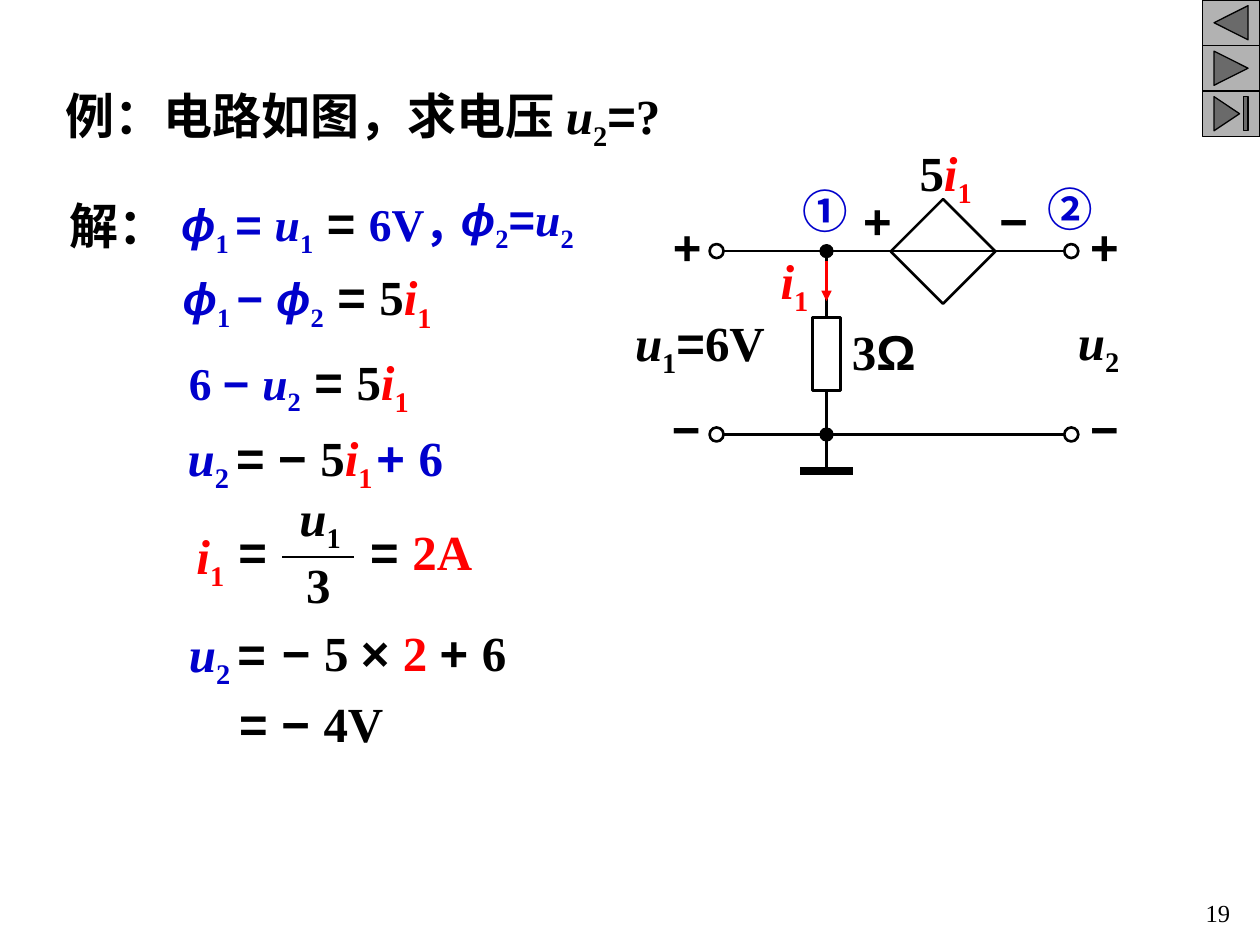
from typing import NamedTuple

from lxml import etree
from pptx import Presentation
from pptx.dml.color import RGBColor
from pptx.enum.shapes import MSO_CONNECTOR, MSO_SHAPE
from pptx.enum.text import MSO_ANCHOR, MSO_AUTO_SIZE, PP_ALIGN
from pptx.oxml.ns import qn
from pptx.util import Pt

STRAIGHT = MSO_CONNECTOR.STRAIGHT
ELLIPSE, DIAMOND, RECTANGLE = MSO_SHAPE.OVAL, MSO_SHAPE.DIAMOND, MSO_SHAPE.RECTANGLE
BACK = MSO_SHAPE.ACTION_BUTTON_BACK_OR_PREVIOUS
FORWARD = MSO_SHAPE.ACTION_BUTTON_FORWARD_OR_NEXT
END = MSO_SHAPE.ACTION_BUTTON_END
LEFT, CENTER, RIGHT = PP_ALIGN.LEFT, PP_ALIGN.CENTER, PP_ALIGN.RIGHT
MIDDLE, TOP = MSO_ANCHOR.MIDDLE, MSO_ANCHOR.TOP
NO_AUTOFIT = MSO_AUTO_SIZE.NONE

BLACK = RGBColor(0x00, 0x00, 0x00)
WHITE = RGBColor(0xFF, 0xFF, 0xFF)
RED = RGBColor(0xFF, 0x00, 0x00)
BLUE = RGBColor(0x00, 0x00, 0xCC)
GRAY = RGBColor(0xB2, 0xB2, 0xB2)

SERIF, SANS, CJK = "Times New Roman", "Arial", "Noto Sans CJK SC"


class Piece(NamedTuple):
    text: str
    color: RGBColor = BLACK
    size: float = 28
    font: str = SERIF
    italic: bool = False
    subscript: bool = False
    bold: bool = True


class Label(NamedTuple):
    left: float
    top: float
    width: float
    height: float
    pieces: list[Piece]
    align: PP_ALIGN = LEFT
    padded: bool = True


class Wire(NamedTuple):
    x1: float
    y1: float
    x2: float
    y2: float
    weight: float = 1.5
    color: RGBColor = BLACK
    arrow: bool = False


def serif(text: str, color: RGBColor = BLACK, size: float = 28) -> list[Piece]:
    return [Piece(text, color, size)]


def sans(text: str, color: RGBColor = BLACK, size: float = 28) -> list[Piece]:
    return [Piece(text, color, size, SANS)]


def symbol(letter: str, index: str, color: RGBColor = BLACK, size: float = 28,
           font: str = SERIF) -> list[Piece]:
    """An italic letter followed by an upright subscript."""
    return [Piece(letter, color, size, font, italic=True),
            Piece(index, color, size, subscript=True)]


def phi(index: str) -> list[Piece]:
    return symbol("ϕ", index, BLUE, 26, SANS)


def fill_text(text_frame, pieces: list[Piece], align: PP_ALIGN) -> None:
    paragraph = text_frame.paragraphs[0]
    paragraph.alignment = align
    for piece in pieces:
        run = paragraph.add_run()
        run.text = piece.text
        font = run.font
        font.name, font.size = piece.font, Pt(piece.size)
        font.bold, font.italic = piece.bold, piece.italic
        font.color.rgb = piece.color
        properties = run._r.get_or_add_rPr()
        etree.SubElement(properties, qn("a:ea"), typeface=CJK)
        if piece.subscript:
            properties.set("baseline", "-25000")


def add_label(slide, label: Label) -> None:
    box = slide.shapes.add_textbox(*map(Pt, label[:4]))
    text_frame = box.text_frame
    text_frame.word_wrap = label.align != CENTER
    text_frame.vertical_anchor = TOP
    if not label.padded:
        text_frame.margin_left = text_frame.margin_right = 0
        text_frame.margin_top = text_frame.margin_bottom = 0
    fill_text(text_frame, label.pieces, label.align)


def add_wire(slide, wire: Wire) -> None:
    connector = slide.shapes.add_connector(STRAIGHT, *map(Pt, wire[:4]))
    connector.line.color.rgb = wire.color
    connector.line.width = Pt(wire.weight)
    if wire.arrow:
        etree.SubElement(connector.line._get_or_add_ln(), qn("a:tailEnd"), type="triangle")
    etree.SubElement(connector._element.spPr, qn("a:effectLst"))


def add_outline(slide, kind: MSO_SHAPE, left: float, top: float, width: float, height: float,
                fill: RGBColor | None = None, weight: float = 1.5) -> None:
    shape = slide.shapes.add_shape(kind, Pt(left), Pt(top), Pt(width), Pt(height))
    shape.shadow.inherit = False
    if fill is None:
        shape.fill.background()
    else:
        shape.fill.solid()
        shape.fill.fore_color.rgb = fill
    shape.line.color.rgb = BLACK
    shape.line.width = Pt(weight)


def add_dot(slide, x: float, y: float, size: float, fill: RGBColor, weight: float) -> None:
    add_outline(slide, ELLIPSE, x - size / 2, y - size / 2, size, size, fill, weight)


def add_title(slide) -> None:
    title = slide.shapes.title
    title.left, title.top, title.width, title.height = map(Pt, (30.2, 43.2, 402.5, 49.7))
    text_frame = title.text_frame
    text_frame.auto_size = NO_AUTOFIT
    text_frame.vertical_anchor = MIDDLE
    pieces = serif("例：电路如图，求电压 ") + symbol("u", "2") + sans("=") + serif("?")
    fill_text(text_frame, pieces, LEFT)


def add_solution(slide) -> None:
    five_i1 = serif("5") + symbol("i", "1", RED)
    u2_equals = symbol("u", "2 ", BLUE) + sans("=")
    labels = [
        Label(39.6, 111.6, 64, 33.8, serif("解："), padded=False),
        # Node voltages
        Label(96.5, 106.6, 201.6, 44.6, phi("1 ") + sans("= ", BLUE, 26)
              + symbol("u", "1", BLUE, 26) + sans(" = ") + serif("6V，", BLUE, 26)),
        Label(256.3, 105.8, 98, 43.2,
              phi("2") + sans("=", BLUE, 26) + symbol("u", "2", BLUE, 26)),
        Label(97.2, 149, 170, 45.4,
              phi("1 ") + sans("− ", BLUE, 26) + phi("2") + sans(" = ") + five_i1),
        Label(100.8, 197.3, 170, 45.4, serif("6 ", BLUE, 26) + sans("− ", BLUE, 26)
              + symbol("u", "2", BLUE, 26) + sans(" = ") + five_i1),
        # Output voltage in terms of the current
        Label(92.9, 240.5, 72.7, 45.4, u2_equals, CENTER),
        Label(151.9, 240.5, 86.4, 45.4, sans("− ") + five_i1),
        Label(208, 240.5, 83.5, 41, sans("+ ", BLUE) + serif("6", BLUE)),
        # Current as a fraction
        Label(104.4, 296.6, 31.7, 45.4, symbol("i", "1", RED), CENTER),
        Label(126, 294.5, 36.7, 41, sans("="), CENTER),
        Label(157.7, 275, 50.4, 45.4, symbol("u", "1"), CENTER),
        Label(167.8, 313.2, 28, 41, serif("3"), CENTER),
        Label(204.5, 294.5, 86.4, 41, sans("= ") + serif("2A", RED)),
        # Result
        Label(93.6, 352.8, 72.7, 45.4, u2_equals, CENTER),
        Label(154, 352, 187, 41, sans("− ") + serif("5 ") + sans("× ")
              + serif("2 ", RED) + sans("+ ") + serif("6")),
        Label(129.6, 393, 140, 41, sans("= − ") + serif("4V")),
    ]
    for label in labels:
        add_label(slide, label)
    add_wire(slide, Wire(161.3, 318.2, 202.3, 318.2))


def add_circuit(slide) -> None:
    left, node, right = 409.5, 472.3, 612.2
    upper, lower = 143.5, 248.3
    # Wires, controlled source and resistor
    for wire in (Wire(left, upper, right, upper), Wire(left, lower, right, lower),
                 Wire(node, upper, node, lower),
                 Wire(node, lower, node, 268.6), Wire(457.2, 269, 487.4, 269, 4.5)):
        add_wire(slide, wire)
    add_outline(slide, DIAMOND, 509, 113.8, 59.8, 59.8)
    add_outline(slide, RECTANGLE, node - 8, 181.4, 16, 41.8, WHITE)
    add_wire(slide, Wire(node, 149, node, 172.1, color=RED, arrow=True))
    # Nodes and terminals
    for y in (upper, lower):
        add_dot(slide, node, y, 7.4, BLACK, 0.75)
        for x in (left, right):
            add_dot(slide, x, y, 8, WHITE, 1.5)
    # Polarity signs
    for sign, x, y in (("+", 375, 123.8), ("−", 374.4, 227.5), ("+", 613.4, 123.8),
                       ("−", 613.4, 227.5), ("+", 483.8, 108.7), ("−", 561.6, 108.7)):
        add_label(slide, Label(x, y, 35.3, 33.8, sans(sign), CENTER, False))
    # Values and node numbers
    for label in (
        Label(522.7, 81.4, 35.3, 38.2, serif("5") + symbol("i", "1", RED), CENTER, False),
        Label(478, 183.6, 54, 33.8, serif("3") + sans("Ω"), CENTER, False),
        Label(362.9, 178.6, 83.5, 38.2, symbol("u", "1") + sans("=") + serif("6V"), LEFT, False),
        Label(604.8, 177.8, 46, 38.2, symbol("u", "2"), CENTER, False),
        Label(436.3, 143.3, 35.3, 38.2, symbol("i", "1", RED), CENTER, False),
        Label(451.4, 100.8, 61, 38.9, [Piece("①", BLUE, 26, CJK)]),
        Label(591.8, 100, 55, 38.9, [Piece("②", BLUE, 26, CJK)]),
    ):
        add_label(slide, label)


def main() -> None:
    presentation = Presentation()
    presentation.slide_width, presentation.slide_height = Pt(720), Pt(540)
    slide = presentation.slides.add_slide(presentation.slide_layouts[5])
    # Navigation buttons
    for index, kind in enumerate((BACK, FORWARD, END)):
        add_outline(slide, kind, 687, 26 * index, 33, 26, GRAY, 0.75)
    add_title(slide)
    add_solution(slide)
    add_circuit(slide)
    add_label(slide, Label(560.2, 509.8, 149.8, 28.8, [Piece("19", size=14, bold=False)], RIGHT))
    presentation.save("out.pptx")


if __name__ == "__main__":
    main()
